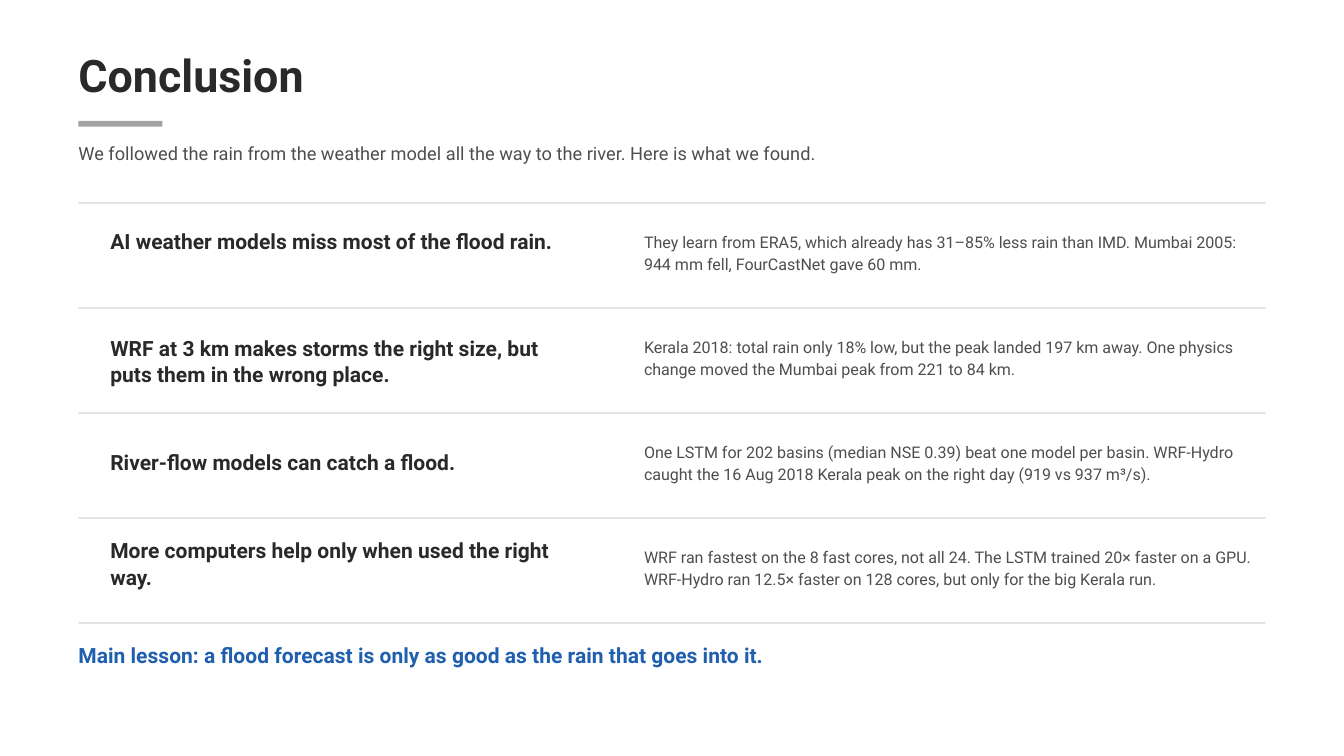
import dataclasses

import pptx
import pptx.dml.color
import pptx.enum.shapes
import pptx.enum.text
import pptx.slide
import pptx.util

SLIDE_WIDTH = pptx.util.Inches(20)
SLIDE_HEIGHT = pptx.util.Inches(11.25)
COLUMNS, ROWS = 240, 135
COLORS = {
    "ink": "292929",
    "body": "4E4E4E",
    "accent": "A2A2A2",
    "divider": "D6D6D6",
    "lesson": "1F5FAE",
}
FONT = "Roboto"

MARGIN, CONTENT_WIDTH = 14, 212
HEADLINE_COLUMN, HEADLINE_WIDTH = 19.7, 80
DETAIL_COLUMN, DETAIL_WIDTH = 115, 111
FIRST_DIVIDER, FINDING_PITCH = 36.12, 18.75
DIVIDER_HEIGHT = 0.25
DETAIL_OFFSET = 4.8


@dataclasses.dataclass(frozen=True)
class Area:
    column: float
    row: float
    width: float
    height: float

    def emu(self) -> tuple[int, int, int, int]:
        across, down = SLIDE_WIDTH / COLUMNS, SLIDE_HEIGHT / ROWS
        return (round(self.column * across), round(self.row * down),
                round(self.width * across), round(self.height * down))


@dataclasses.dataclass(frozen=True)
class Style:
    size: float
    leading: float
    color: str
    bold: bool = False


@dataclasses.dataclass(frozen=True)
class Finding:
    headline: str
    headline_offset: float
    headline_height: float
    detail: str


TITLE = Style(48, 51.8, "ink", True)
INTRO = Style(19.5, 27.3, "body")
HEADLINE = Style(22.5, 28.1, "ink", True)
DETAIL = Style(17.2, 24.1, "body")
LESSON = Style(22.5, 31.5, "lesson", True)

FINDINGS = [
    Finding("AI weather models miss most of the flood rain.", 4.44, 9.5,
            "They learn from ERA5, which already has 31–85% less rain than IMD. "
            "Mumbai 2005: 944 mm fell, FourCastNet gave 60 mm."),
    Finding("WRF at 3 km makes storms the right size, but puts them in the wrong place.", 4.8, 9.5,
            "Kerala 2018: total rain only 18% low, but the peak landed 197 km away. "
            "One physics change moved the Mumbai peak from 221 to 84 km."),
    Finding("River-flow models can catch a flood.", 6.54, 4.8,
            "One LSTM for 202 basins (median NSE 0.39) beat one model per basin. "
            "WRF-Hydro caught the 16 Aug 2018 Kerala peak on the right day (919 vs 937 m³/s)."),
    Finding("More computers help only when used the right way.", 3.5, 9.5,
            "WRF ran fastest on the 8 fast cores, not all 24. The LSTM trained 20× faster on a GPU. "
            "WRF-Hydro ran 12.5× faster on 128 cores, but only for the big Kerala run."),
]


def color(name: str) -> pptx.dml.color.RGBColor:
    return pptx.dml.color.RGBColor.from_string(COLORS[name])


def write(slide: pptx.slide.Slide, area: Area, wording: str, style: Style) -> None:
    frame = slide.shapes.add_textbox(*area.emu()).text_frame
    frame.margin_left = frame.margin_right = frame.margin_top = frame.margin_bottom = 0
    frame.word_wrap = True
    frame.auto_size = pptx.enum.text.MSO_AUTO_SIZE.SHAPE_TO_FIT_TEXT
    frame.text = wording
    paragraph = frame.paragraphs[0]
    paragraph.line_spacing = pptx.util.Pt(style.leading)
    font = paragraph.runs[0].font
    font.name = FONT
    font.size = pptx.util.Pt(style.size)
    font.bold = style.bold
    font.color.rgb = color(style.color)


def draw_bar(slide: pptx.slide.Slide, area: Area, fill: str) -> None:
    bar = slide.shapes.add_shape(pptx.enum.shapes.MSO_SHAPE.RECTANGLE, *area.emu())
    bar.shadow.inherit = False
    bar.fill.solid()
    bar.fill.fore_color.rgb = color(fill)
    bar.line.fill.background()


def draw_finding(slide: pptx.slide.Slide, finding: Finding, top: float) -> None:
    write(slide, Area(HEADLINE_COLUMN, top + finding.headline_offset,
                      HEADLINE_WIDTH, finding.headline_height), finding.headline, HEADLINE)
    write(slide, Area(DETAIL_COLUMN, top + DETAIL_OFFSET, DETAIL_WIDTH, 8.2),
          finding.detail, DETAIL)


def main() -> None:
    deck = pptx.Presentation()
    deck.slide_width, deck.slide_height = SLIDE_WIDTH, SLIDE_HEIGHT
    slide = deck.slides.add_slide(deck.slide_layouts[6])

    write(slide, Area(MARGIN, 9.5, 187.5, 9.1), "Conclusion", TITLE)
    draw_bar(slide, Area(MARGIN, 21.6, 15, 1), "accent")
    write(slide, Area(MARGIN, 24.8, CONTENT_WIDTH, 4.6),
          "We followed the rain from the weather model all the way to the river. "
          "Here is what we found.", INTRO)

    tops = [FIRST_DIVIDER + FINDING_PITCH * index for index in range(len(FINDINGS) + 1)]
    for finding, top in zip(FINDINGS, tops):
        draw_finding(slide, finding, top)
    write(slide, Area(MARGIN, 114, CONTENT_WIDTH, 5.3),
          "Main lesson: a flood forecast is only as good as the rain that goes into it.", LESSON)
    for top in tops:
        draw_bar(slide, Area(MARGIN, top, CONTENT_WIDTH, DIVIDER_HEIGHT), "divider")

    deck.save("out.pptx")


if __name__ == "__main__":
    main()
